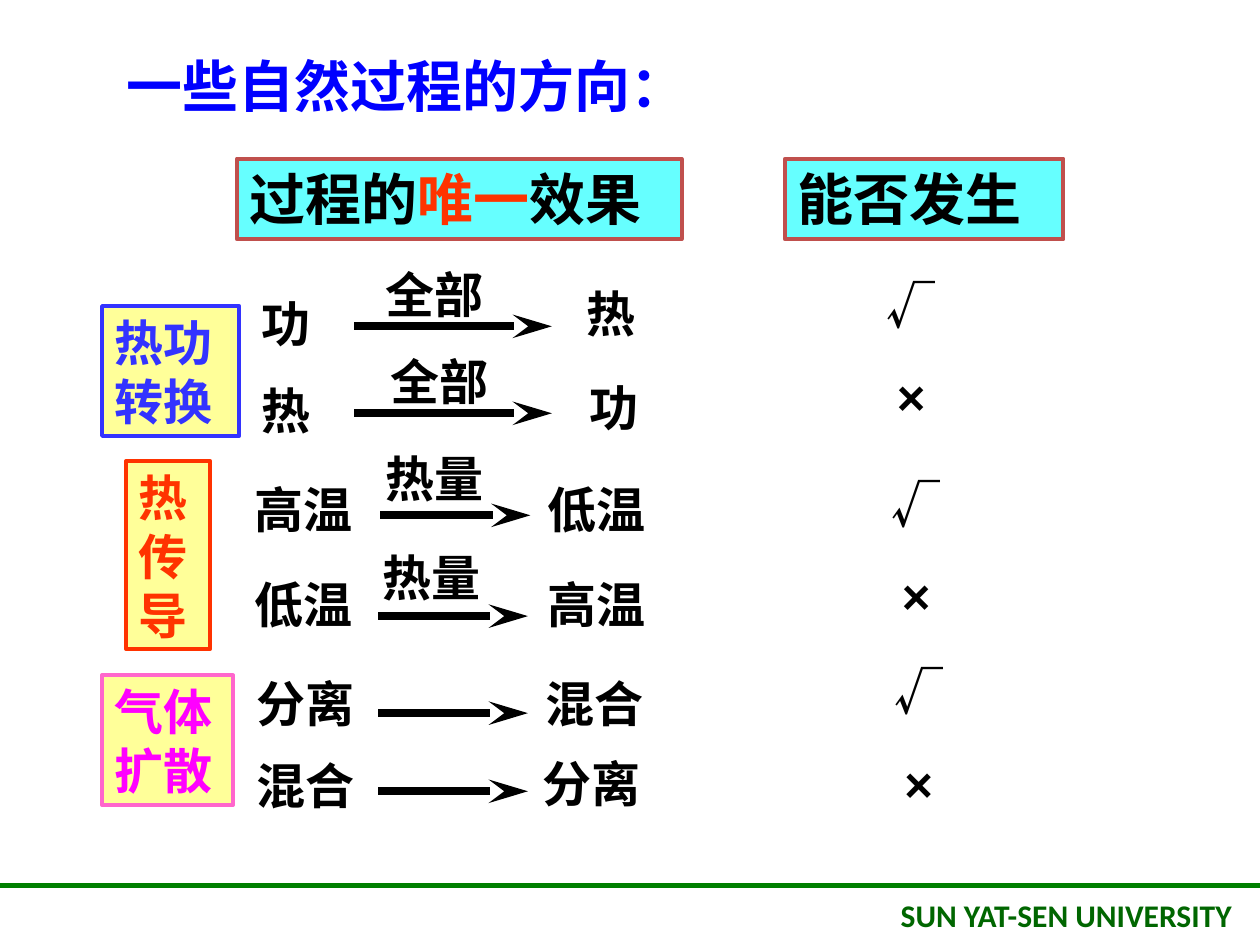
import math

import pptx
import pptx.util
import pptx.dml.color
import pptx.enum.shapes
import pptx.enum.text
import pptx.oxml.ns
from lxml import etree

Inches = pptx.util.Inches
Pt = pptx.util.Pt
RGBColor = pptx.dml.color.RGBColor
qn = pptx.oxml.ns.qn

BLACK = RGBColor(0, 0, 0)
BLUE = RGBColor(0, 0, 255)
INDIGO = RGBColor(0x33, 0x33, 0xFF)
RED = RGBColor(0xFF, 0x33, 0)
PINK = RGBColor(0xFF, 0x66, 0xCC)
MAGENTA = RGBColor(255, 0, 255)
BRICK = RGBColor(0xC0, 0x50, 0x4D)
CYAN = RGBColor(0x66, 0xFF, 0xFF)
YELLOW = RGBColor(0xFF, 0xFF, 0x99)
GREEN = RGBColor(0, 0x80, 0)
DARK = RGBColor(0, 0x66, 0)

CJK = "Noto Sans CJK SC"
TITLE = "一些自然过程的方向："
FOOTER = "SUN YAT-SEN UNIVERSITY"

# text parts with colours, left, width
HEADS = [
    ([("过程的", BLACK), ("唯一", RED), ("效果", BLACK)], 1.88, 3.53),
    ([("能否发生", BLACK)], 6.23, 2.21),
]
# text, left, top, width, text colour, border colour
KINDS = [
    ("热功转换", 0.81, 2.43, 1.09, INDIGO, INDIGO),
    ("热传导", 1, 3.66, 0.67, RED, RED),
    ("气体扩散", 0.81, 5.36, 1.04, MAGENTA, PINK),
]
# start, end and mark: (text, left, top); arrow: (left, length, y)
STEPS = [
    (("功", 1.98, 2.28), ("热", 4.56, 2.2), (2.81, 1.57, 2.59), ("√", 6.94, 2.14)),
    (("热", 1.98, 2.97), ("功", 4.58, 2.95), (2.81, 1.57, 3.28), ("×", 7.02, 2.86)),
    (("高温", 1.92, 3.76), ("低温", 4.25, 3.76), (3.02, 1.19, 4.09), ("√", 6.98, 3.72)),
    (("低温", 1.92, 4.51), ("高温", 4.25, 4.51), (3, 1.19, 4.89), ("×", 7.06, 4.44)),
    (("分离", 1.94, 5.3), ("混合", 4.23, 5.3), (3, 1.19, 5.66), ("√", 7, 5.2)),
    (("混合", 1.94, 5.95), ("分离", 4.21, 5.93), (3, 1.19, 6.28), ("×", 7.08, 5.93)),
]
# labels over the arrows: text, left, top
NOTES = [
    ("全部", 2.96, 2.05),
    ("全部", 3, 2.74),
    ("热量", 2.96, 3.51),
    ("热量", 2.94, 4.3),
]
CHAR, PITCH = 0.39, 0.46  # character width and line pitch at 28 pt


def style(run, size, color, face="Arial"):
    font = run.font
    font.size, font.bold, font.name = Pt(size), True, face
    font.color.rgb = color
    if any(ord(c) > 0x2000 for c in run.text):
        ea = etree.SubElement(run._r.get_or_add_rPr(), qn("a:ea"))
        ea.set("typeface", CJK)


def write(shape, parts, size, face="Arial"):
    """Fill a shape with one left-aligned paragraph of coloured parts."""
    frame = shape.text_frame
    frame.word_wrap = True
    frame.auto_size = pptx.enum.text.MSO_AUTO_SIZE.NONE
    frame.vertical_anchor = pptx.enum.text.MSO_ANCHOR.TOP
    para = frame.paragraphs[0]
    para.alignment = pptx.enum.text.PP_ALIGN.LEFT
    for text, color in parts:
        run = para.add_run()
        run.text = text
        style(run, size, color, face)


def add_text(slide, text, left, top, wide, high=0.57, size=28, color=BLACK, face="Arial"):
    box = slide.shapes.add_textbox(Inches(left), Inches(top), Inches(wide), Inches(high))
    write(box, [(text, color)], size, face)


def add_box(slide, parts, left, top, wide, high, fill, edge, size):
    box = slide.shapes.add_shape(
        pptx.enum.shapes.MSO_SHAPE.RECTANGLE,
        Inches(left), Inches(top), Inches(wide), Inches(high))
    box.shadow.inherit = False
    box.fill.solid()
    box.fill.fore_color.rgb = fill
    box.line.color.rgb = edge
    box.line.width = Pt(2.25)
    write(box, parts, size)


def add_line(slide, left, wide, y, color, weight, head=False):
    line = slide.shapes.add_connector(
        pptx.enum.shapes.MSO_CONNECTOR.STRAIGHT,
        Inches(left), Inches(y), Inches(left + wide), Inches(y))
    line.line.color.rgb = color
    line.line.width = Pt(weight)
    if head:
        tail = etree.SubElement(line.line._get_or_add_ln(), qn("a:tailEnd"))
        tail.set("type", "stealth")
        tail.set("len", "lg")
    etree.SubElement(line._element.spPr, qn("a:effectLst"))


def wrap_high(text, wide):
    """Height of a box that holds all wrapped lines of the text."""
    count = int((wide - 0.2) / CHAR)
    return 0.11 + PITCH * math.ceil(len(text) / count)


def main():
    deck = pptx.Presentation()
    deck.slide_width, deck.slide_height = Inches(10), Inches(7.5)
    slide = deck.slides.add_slide(deck.slide_layouts[5])

    title = slide.shapes.title
    title.left, title.top = Inches(0.9), Inches(0.36)
    title.width, title.height = Inches(4.9), Inches(0.64)
    write(title, [(TITLE, BLUE)], 32)

    add_line(slide, 0, 10, 7.03, GREEN, 3)
    add_text(slide, FOOTER, 7.05, 7.06, 2.9, 0.4, 18, DARK, "Calibri")

    for parts, left, wide in HEADS:
        add_box(slide, parts, left, 1.26, wide, 0.64, CYAN, BRICK, 32)
    for text, left, top, wide, color, edge in KINDS:
        high = wrap_high(text, wide)
        add_box(slide, [(text, color)], left, top, wide, high, YELLOW, edge, 28)

    for start, end, arrow, mark in STEPS:
        for text, left, top in (start, end):
            add_text(slide, text, left, top, 0.67 if len(text) == 1 else 1.21)
        add_line(slide, *arrow, BLACK, 4.5, head=True)
        good = mark[0] == "√"
        add_text(slide, *mark, 1.25 if good else 1.54, face=CJK if good else "Arial")
    for note in NOTES:
        add_text(slide, *note, 1.22)

    deck.save("out.pptx")


if __name__ == "__main__":
    main()
